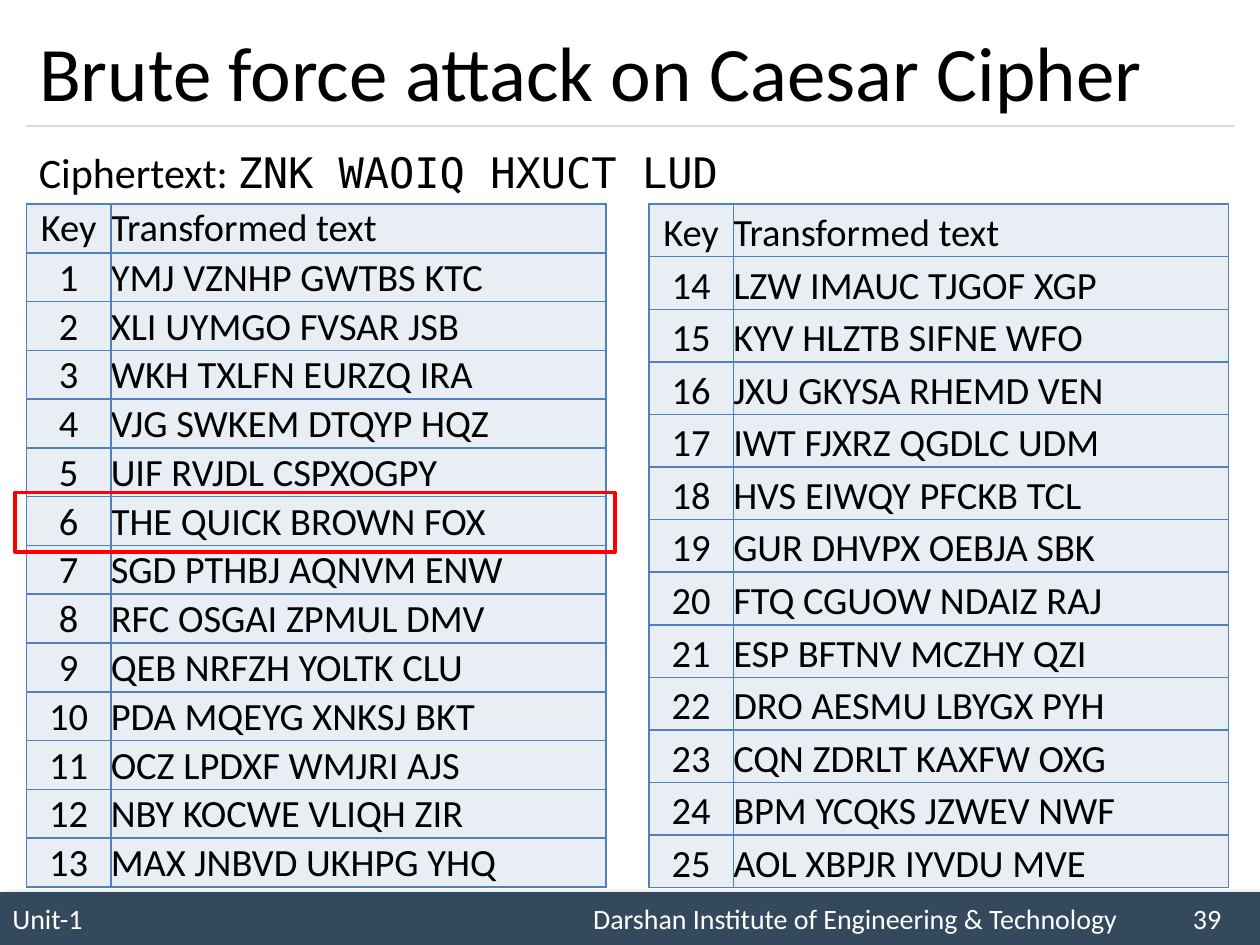
"""Build the slide on the brute force attack on the Caesar cipher."""
from dataclasses import dataclass

from lxml.etree import SubElement
from pptx import Presentation
from pptx.dml.color import RGBColor
from pptx.enum.shapes import MSO_CONNECTOR, MSO_SHAPE
from pptx.enum.text import MSO_ANCHOR, MSO_AUTO_SIZE, PP_ALIGN
from pptx.oxml.ns import qn
from pptx.slide import Slide
from pptx.util import Inches, Pt


@dataclass(frozen=True)
class Theme:
    """Colours, fonts and type sizes of the slide."""
    ink: RGBColor = RGBColor(0, 0, 0)
    paper: RGBColor = RGBColor(0xFF, 0xFF, 0xFF)
    band: RGBColor = RGBColor(0x34, 0x49, 0x5E)
    rule: RGBColor = RGBColor(0xD9, 0xD9, 0xD9)
    cell: RGBColor = RGBColor(0xE9, 0xED, 0xF4)
    border: str = "4F81BD"
    highlight: RGBColor = RGBColor(0xFF, 0, 0)
    sans: str = "Calibri"
    mono: str = "DejaVu Sans Mono"
    title: Pt = Pt(44)
    lead: Pt = Pt(24)
    table: Pt = Pt(22)
    footer: Pt = Pt(16)


@dataclass(frozen=True)
class KeyTable:
    """Candidate plaintexts for consecutive keys."""
    left: float
    height: float
    first_key: int
    header_anchor: MSO_ANCHOR
    candidates: tuple[str, ...]


THEME = Theme()
KEY_TABLES = (
    KeyTable(0.21, 5.42, 1, MSO_ANCHOR.MIDDLE, (
        "YMJ VZNHP GWTBS KTC", "XLI UYMGO FVSAR JSB", "WKH TXLFN EURZQ IRA",
        "VJG SWKEM DTQYP HQZ", "UIF RVJDL CSPXOGPY", "THE QUICK BROWN FOX",
        "SGD PTHBJ AQNVM ENW", "RFC OSGAI ZPMUL DMV", "QEB NRFZH YOLTK CLU",
        "PDA MQEYG XNKSJ BKT", "OCZ LPDXF WMJRI AJS", "NBY KOCWE VLIQH ZIR",
        "MAX JNBVD UKHPG YHQ")),
    KeyTable(5.15, 5.43, 14, MSO_ANCHOR.BOTTOM, (
        "LZW IMAUC TJGOF XGP", "KYV HLZTB SIFNE WFO", "JXU GKYSA RHEMD VEN",
        "IWT FJXRZ QGDLC UDM", "HVS EIWQY PFCKB TCL", "GUR DHVPX OEBJA SBK",
        "FTQ CGUOW NDAIZ RAJ", "ESP BFTNV MCZHY QZI", "DRO AESMU LBYGX PYH",
        "CQN ZDRLT KAXFW OXG", "BPM YCQKS JZWEV NWF", "AOL XBPJR IYVDU MVE")),
)


def apply_format(target: object, values: dict) -> None:
    """Set each named attribute of the target."""
    for name, value in values.items():
        setattr(target, name, value)


def format_font(font: object, size: Pt, color: RGBColor = THEME.ink, name: str = THEME.sans) -> None:
    """Set the face, size and colour of a font."""
    apply_format(font, {"name": name, "size": size})
    font.color.rgb = color


def box(left: float, top: float, width: float, height: float) -> tuple:
    """Convert a position and size in inches to lengths."""
    return tuple(map(Inches, (left, top, width, height)))


def draw_title(slide: Slide, wording: str) -> None:
    """Place the title and the rule below it."""
    title = slide.shapes.title
    apply_format(title, dict(zip(("left", "top", "width", "height"), box(0.21, 0.12, 9.58, 0.88))))
    title.text = wording
    apply_format(title.text_frame, {"vertical_anchor": MSO_ANCHOR.MIDDLE, "auto_size": MSO_AUTO_SIZE.NONE})
    heading = title.text_frame.paragraphs[0]
    heading.alignment = PP_ALIGN.LEFT
    format_font(heading.font, THEME.title)
    rule = slide.shapes.add_connector(MSO_CONNECTOR.STRAIGHT, Inches(0.21), Inches(1), Inches(9.79), Inches(1))
    rule.line.color.rgb = THEME.rule
    rule.line.width = Pt(0.75)
    SubElement(rule._element.spPr, qn("a:effectLst"))


def draw_footer(slide: Slide, unit: str, institute: str, page: str) -> None:
    """Draw the footer band with its parts set on tab stops."""
    band = slide.shapes.add_shape(MSO_SHAPE.RECTANGLE, *box(0, 7.08, 10, 0.42))
    band.fill.solid()
    band.fill.fore_color.rgb = THEME.band
    band.line.fill.background()
    band.shadow.inherit = False
    effects = band._element.spPr.find(qn("a:effectLst"))
    shadow = SubElement(effects, qn("a:outerShdw"), blurRad=str(Pt(4)), dist=str(Pt(3)), dir="2700000")
    shadow_color = SubElement(shadow, qn("a:srgbClr"), val="000000")
    SubElement(shadow_color, qn("a:alpha"), val="40000")
    apply_format(band.text_frame, {"vertical_anchor": MSO_ANCHOR.MIDDLE, "word_wrap": True})
    line = band.text_frame.paragraphs[0]
    line.text = "\t".join((unit, institute, page))
    line.alignment = PP_ALIGN.LEFT
    stops = SubElement(line._p.get_or_add_pPr(), qn("a:tabLst"))
    for position in (4.61, 9.37):
        SubElement(stops, qn("a:tab"), pos=str(Inches(position)), algn="l")
    format_font(line.font, THEME.footer, THEME.paper)


def draw_ciphertext(slide: Slide, label: str, ciphertext: str) -> None:
    """Write the label and the ciphertext in their two fonts."""
    lead = slide.shapes.add_textbox(*box(0.21, 1.11, 7, 0.5)).text_frame
    lead.word_wrap = True
    for wording, face in ((label, THEME.sans), (ciphertext, THEME.mono)):
        run = lead.paragraphs[0].add_run()
        run.text = wording
        format_font(run.font, THEME.lead, name=face)


def fill_cell(cell: object, wording: str, alignment: PP_ALIGN, anchor: MSO_ANCHOR) -> None:
    """Write one bordered and filled table cell."""
    cell.text = wording
    margins = dict.fromkeys(("margin_left", "margin_right", "margin_top", "margin_bottom"), 0)
    apply_format(cell, {**margins, "vertical_anchor": anchor})
    entry = cell.text_frame.paragraphs[0]
    entry.alignment = alignment
    format_font(entry.font, THEME.table)
    properties = cell._tc.get_or_add_tcPr()
    for side in ("lnL", "lnR", "lnT", "lnB"):
        border = SubElement(properties, qn(f"a:{side}"), w=str(Pt(1)))
        SubElement(SubElement(border, qn("a:solidFill")), qn("a:srgbClr"), val=THEME.border)
    cell.fill.solid()
    cell.fill.fore_color.rgb = THEME.cell


def draw_key_table(slide: Slide, keys: KeyTable) -> None:
    """Draw a table of keys and transformed texts."""
    rows = [("Key", "Transformed text")]
    rows += [(str(key), text) for key, text in enumerate(keys.candidates, keys.first_key)]
    table = slide.shapes.add_table(len(rows), 2, *box(keys.left, 1.62, 4.6, keys.height)).table
    apply_format(table, {"first_row": False, "horz_banding": False})
    for column, width in zip(table.columns, (0.67, 3.93)):
        column.width = Inches(width)
    for row_index, row in enumerate(rows):
        anchor = MSO_ANCHOR.BOTTOM if row_index else keys.header_anchor
        for column_index, alignment in enumerate((PP_ALIGN.CENTER, PP_ALIGN.LEFT)):
            fill_cell(table.cell(row_index, column_index), row[column_index], alignment, anchor)


def draw_highlight(slide: Slide) -> None:
    """Frame the row holding the readable plaintext."""
    frame = slide.shapes.add_shape(MSO_SHAPE.RECTANGLE, *box(0.12, 3.91, 4.76, 0.47))
    frame.fill.background()
    frame.line.color.rgb = THEME.highlight
    frame.line.width = Pt(2)
    frame.shadow.inherit = False


def main() -> None:
    """Assemble and save the slide."""
    deck = Presentation()
    apply_format(deck, {"slide_width": Inches(10), "slide_height": Inches(7.5)})
    slide = deck.slides.add_slide(deck.slide_layouts.get_by_name("Title Only"))
    draw_footer(slide, "Unit-1", "Darshan Institute of Engineering & Technology", "39")
    draw_title(slide, "Brute force attack on Caesar Cipher")
    for keys in KEY_TABLES:
        draw_key_table(slide, keys)
    draw_ciphertext(slide, "Ciphertext: ", "ZNK WAOIQ HXUCT LUD")
    draw_highlight(slide)
    deck.save("out.pptx")


if __name__ == "__main__":
    main()
